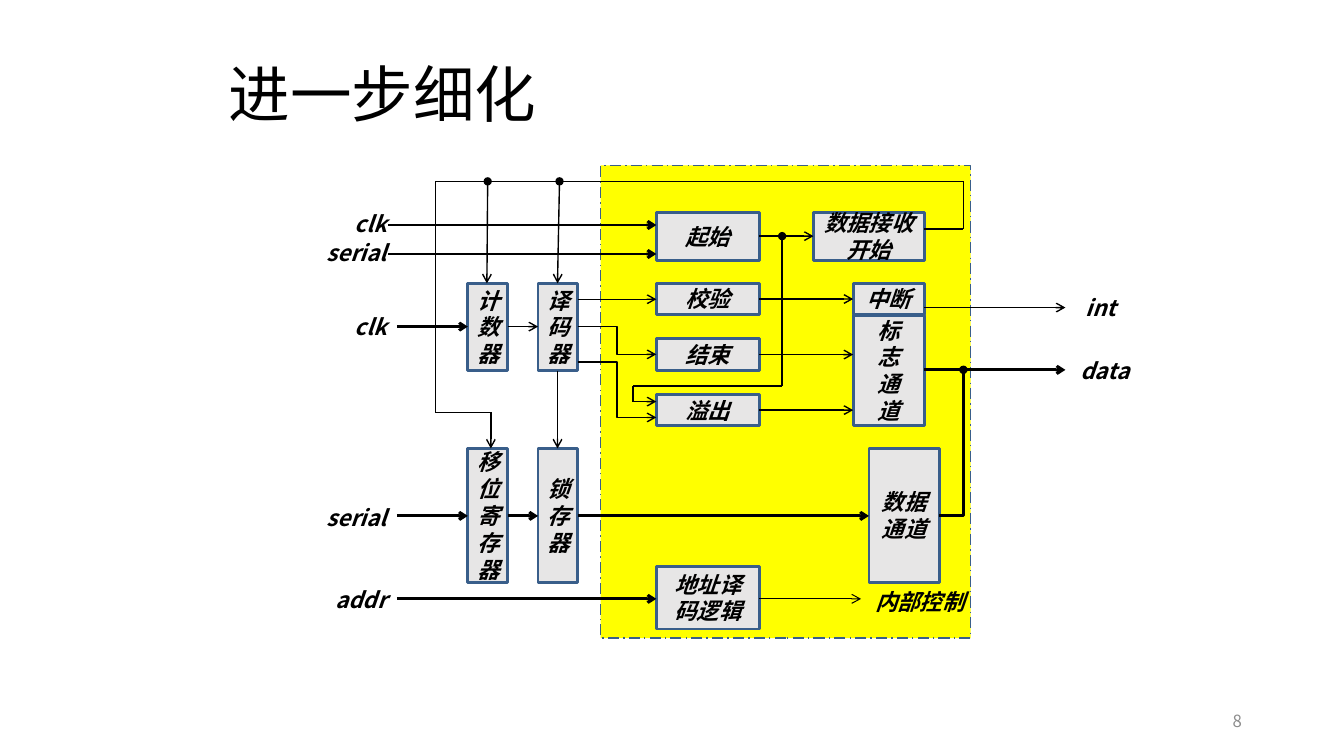
from dataclasses import dataclass
from itertools import pairwise

import pptx
import pptx.dml.color
import pptx.enum.dml
import pptx.enum.shapes
import pptx.enum.text
import pptx.oxml
import pptx.oxml.ns
import pptx.util

Cm = pptx.util.Cm
Pt = pptx.util.Pt
Align = pptx.enum.text.PP_ALIGN
Connector = pptx.enum.shapes.MSO_CONNECTOR


@dataclass(frozen=True)
class Theme:
    """Colours, fonts, type sizes and line widths of the slide."""
    ink: str = "000000"
    muted: str = "8C8C8C"
    region: str = "FFFF00"
    block: str = "E7E6E6"
    border: str = "395E8A"
    block_font: str = "Calibri"
    text_font: str = "Noto Sans CJK SC"
    title_size: float = 44
    body_size: float = 16
    number_size: float = 12
    hair: float = 0.75
    thin: float = 1
    thick: float = 2


class BlockDiagram:
    """Draws diagram elements on one slide, with places in centimetres."""

    def __init__(self, slide, theme):
        self.shapes = slide.shapes
        self.theme = theme

    def color(self, value):
        return pptx.dml.color.RGBColor.from_string(value)

    def fill_text(self, frame, lines, font, size, color, align, bold=True):
        frame.word_wrap = True
        frame.vertical_anchor = pptx.enum.text.MSO_ANCHOR.MIDDLE
        for index, line in enumerate(lines):
            paragraph = frame.add_paragraph() if index else frame.paragraphs[0]
            paragraph.alignment = align
            run = paragraph.add_run()
            run.text = line
            run.font.name = font
            run.font.size = Pt(size)
            run.font.bold = run.font.italic = bold
            run.font.color.rgb = self.color(color)

    def rectangle(self, place, fill, width):
        shape = self.shapes.add_shape(
            pptx.enum.shapes.MSO_SHAPE.RECTANGLE, *map(Cm, place))
        shape.shadow.inherit = False
        shape.fill.solid()
        shape.fill.fore_color.rgb = self.color(fill)
        shape.line.color.rgb = self.color(self.theme.border)
        shape.line.width = Pt(width)
        return shape

    def region(self, *place):
        shape = self.rectangle(place, self.theme.region, self.theme.thin)
        shape.line.dash_style = pptx.enum.dml.MSO_LINE.LONG_DASH_DOT

    def block(self, lines, *place):
        shape = self.rectangle(place, self.theme.block, self.theme.thick)
        self.fill_text(shape.text_frame, lines, self.theme.block_font,
                       self.theme.body_size, self.theme.ink, Align.CENTER)

    def text(self, words, place, align, size=None, color=None, bold=True):
        box = self.shapes.add_textbox(*map(Cm, place))
        self.fill_text(box.text_frame, [words], self.theme.text_font,
                       size or self.theme.body_size, color or self.theme.ink,
                       align, bold)

    def wire(self, start, end, width, tail="arrow", head=None,
             kind=Connector.STRAIGHT, preset=None):
        line = self.shapes.add_connector(kind, *map(Cm, (*start, *end)))
        line.line.color.rgb = self.color(self.theme.ink)
        line.line.width = Pt(width)
        properties = line._element.spPr
        if preset:
            properties.find(pptx.oxml.ns.qn("a:prstGeom")).set("prst", preset)
        outline = properties.find(pptx.oxml.ns.qn("a:ln"))
        for tag, mark in (("headEnd", head), ("tailEnd", tail)):
            if mark:
                outline.append(pptx.oxml.parse_xml(
                    f'<a:{tag} {pptx.oxml.ns.nsdecls("a")} type="{mark}"/>'))
        properties.append(pptx.oxml.parse_xml(
            f'<a:effectLst {pptx.oxml.ns.nsdecls("a")}/>'))

    def route(self, points, width, head=None):
        segments = list(pairwise(points))
        for index, (start, end) in enumerate(segments):
            self.wire(start, end, width,
                      tail="arrow" if index == len(segments) - 1 else None,
                      head=None if index else head)


def main():
    """Build the receiver block diagram and save it."""
    deck = pptx.Presentation()
    deck.slide_width, deck.slide_height = Cm(33.87), Cm(19.05)
    theme = Theme()
    diagram = BlockDiagram(deck.slides.add_slide(deck.slide_layouts[6]), theme)
    thin, thick = theme.thin, theme.thick

    diagram.text("进一步细化", (5.51, 0.76, 22.86, 3.18), Align.LEFT,
                 theme.title_size, bold=False)
    diagram.region(15.14, 4.17, 9.32, 11.91)

    counter, decoder, checks, flags = 11.79, 13.56, 16.54, 21.5
    counter_end, decoder_end = counter + 1, decoder + 1
    checks_end, flags_end = checks + 2.6, flags + 1.79
    top, row, row_height, lower = 7.14, 1.4, 0.79, 11.3
    bus, clock_row, data_row, address_row = 4.57, 8.23, 13, 15.09
    start_row, data_out, data_bus = 5.95, 9.32, 24.28

    diagram.block(["起始"], checks, 5.36, 2.6, 1.2)
    for index, check in enumerate(("校验", "结束", "溢出")):
        diagram.block([check], checks, top + index * row, 2.6, row_height)
    diagram.block("标志通道", flags, 7.95, 1.79, 2.77)
    diagram.block(["中断"], flags, top, 1.79, row_height)
    diagram.block(["数据接收开始"], 20.5, 5.36, 2.79, 1.2)
    for name, left, y, height in (
            ("计数器", counter, top, 2.2), ("译码器", decoder, top, 2.2),
            ("移位寄存器", counter, lower, 3.38),
            ("锁存器", decoder, lower, 3.38)):
        diagram.block([name], left, y, 1, height)
    diagram.block(["地址译码逻辑"], checks, 14.27, 2.6, 1.58)
    diagram.block(["数据通道"], 21.9, lower, 1.78, 3.38)

    for start, end, y, width in (
            (9.78, checks, 5.67, thick), (9.78, checks, 6.4, thick),
            (10, counter, clock_row, thick),
            (counter_end, decoder, clock_row, thin),
            (10, counter, data_row, thick),
            (counter_end, decoder, data_row, thick),
            (decoder_end, 21.9, data_row, thick),
            (10, checks, address_row, thick),
            (checks_end, 21.7, address_row, theme.hair),
            (decoder_end, checks, 7.54, thin),
            (checks_end, 20.5, start_row, thin),
            (flags_end, 26.85, 7.75, thin),
            (flags_end, 26.85, data_out, thick)):
        diagram.wire((start, y), (end, y), width)
    for index in range(3):
        y = top + index * row + row_height / 2
        diagram.wire((checks_end, y), (flags, y), thin)

    diagram.route([(flags_end, 5.77), (data_bus, 5.77), (data_bus, bus),
                   (10.97, bus), (10.97, 10.39), (12.37, 10.39),
                   (12.37, lower)], thin)
    diagram.route([(19.71, start_row), (19.71, 9.73), (15.95, 9.73),
                   (15.95, 10.12), (checks, 10.12)], thin, head="oval")
    diagram.wire((12.29, bus), (12.27, top), thin, head="oval")
    diagram.wire((14.1, bus), (14.05, top), thin, head="oval")
    diagram.wire((14.05, 9.34), (14.05, lower), thin)
    for start_y, end_y in ((clock_row, 8.93), (9.12, 10.52)):
        diagram.wire((decoder_end, start_y), (checks, end_y), thin,
                     kind=Connector.ELBOW)
    diagram.wire((23.67, data_row), (data_bus, data_out), thick, tail="oval",
                 kind=Connector.ELBOW, preset="bentConnector2")

    for signal, y in (("clk", 5.16), ("serial", 5.89), ("clk", 7.75),
                      ("serial", 12.57), ("addr", 14.63)):
        diagram.text(signal, (7.4, y, 2.6, 0.94), Align.RIGHT)
    for signal, left, y, width in (
            ("int", 26.85, 7.29, 1.78), ("data", 26.85, 8.86, 1.98),
            ("内部控制", 21.7, 14.68, 2.97)):
        diagram.text(signal, (left, y, width, 0.94), Align.CENTER)
    diagram.text("8", (23.93, 17.65, 7.62, 1.02), Align.RIGHT,
                 theme.number_size, theme.muted, bold=False)
    deck.save("out.pptx")


if __name__ == "__main__":
    main()
